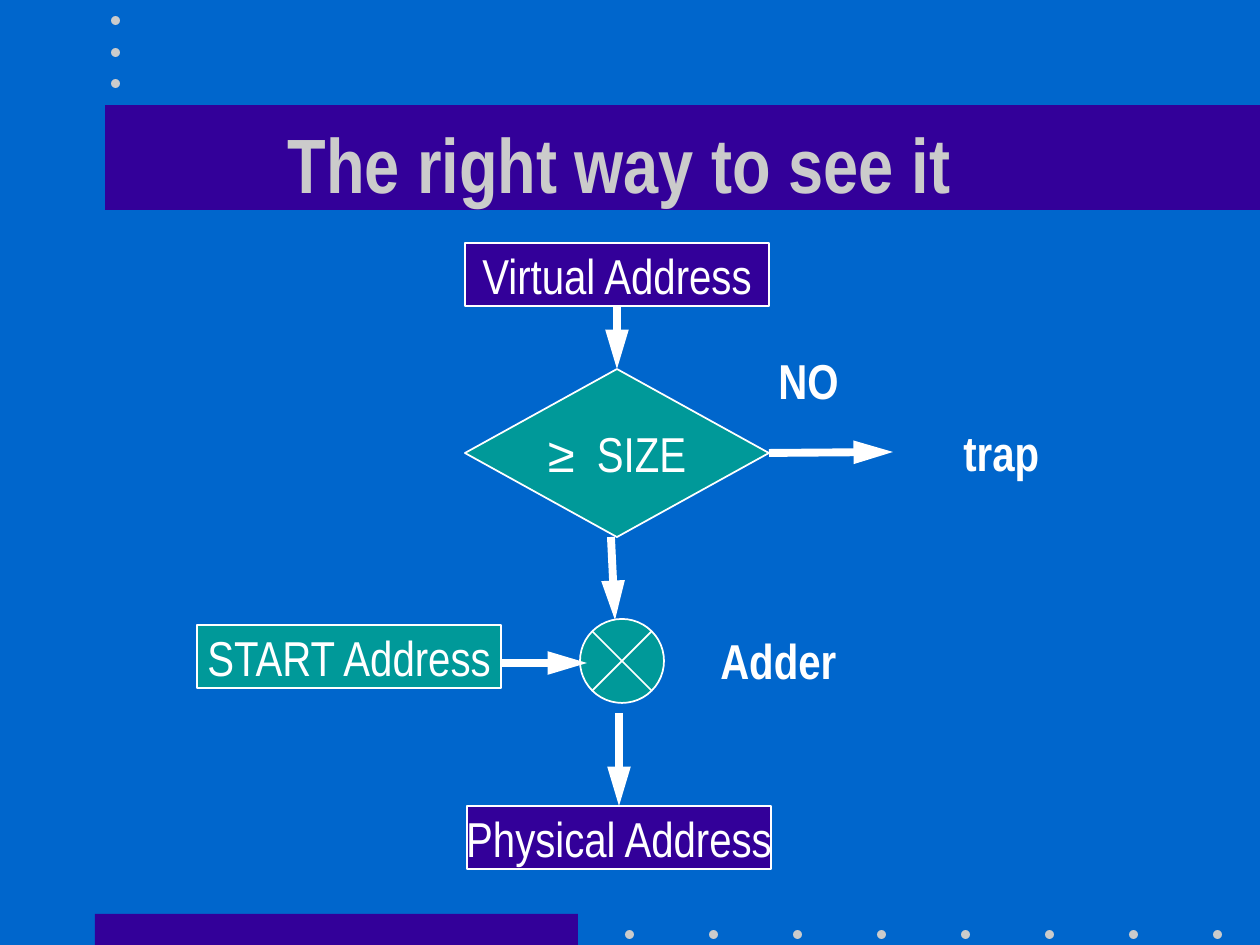
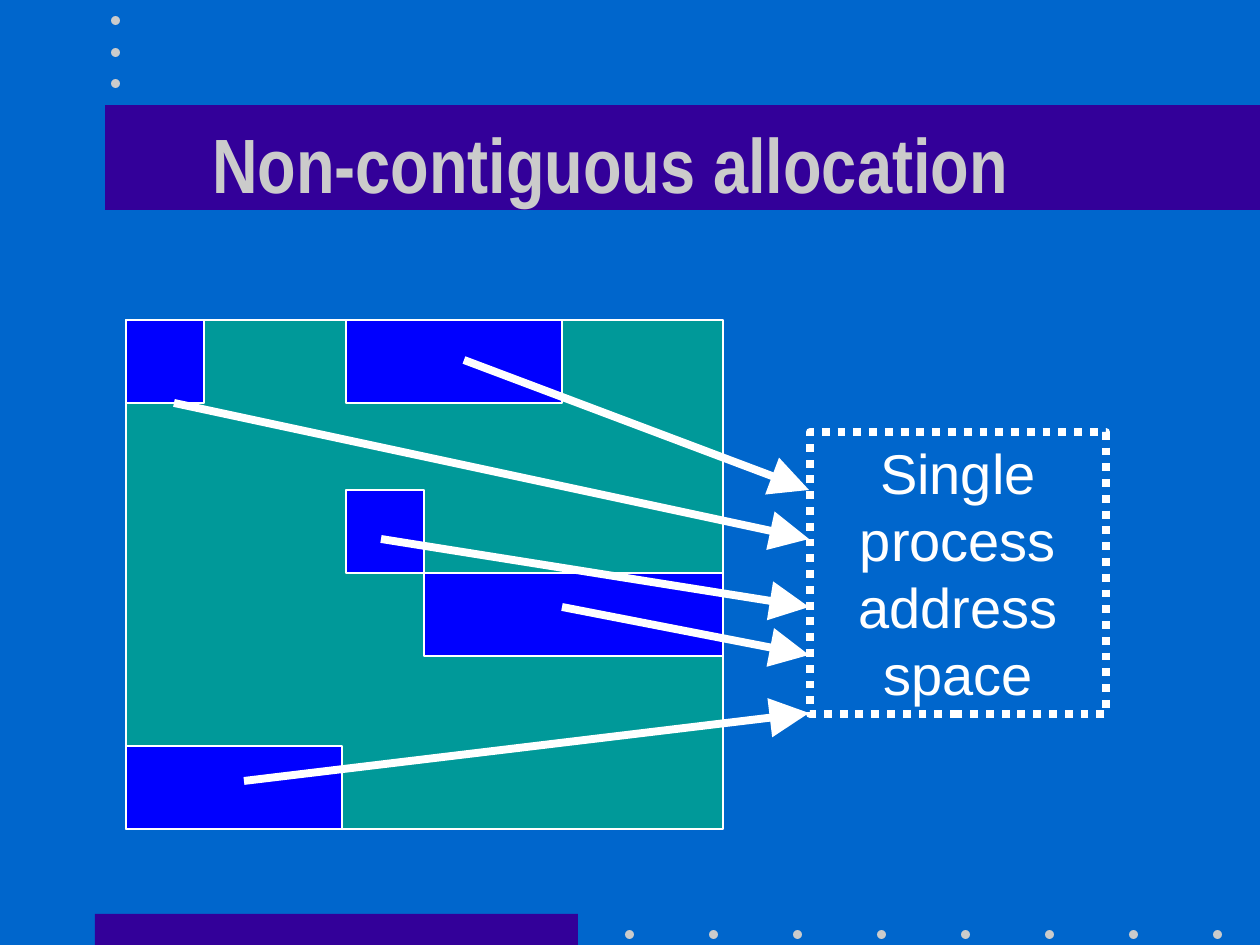
import pptx
import pptx.util
from lxml import etree
from pptx.dml.color import RGBColor
from pptx.enum.dml import MSO_LINE
from pptx.enum.shapes import MSO_CONNECTOR, MSO_SHAPE
from pptx.enum.text import MSO_ANCHOR, PP_ALIGN
from pptx.oxml.ns import qn

PX_PER_INCH = 126
BLUE = RGBColor(0x00, 0x66, 0xCC)
INDIGO = RGBColor(0x33, 0x00, 0x99)
TEAL = RGBColor(0x00, 0x99, 0x99)
VIVID = RGBColor(0x00, 0x00, 0xFF)
GREY = RGBColor(0xCB, 0xCB, 0xCB)
WHITE = RGBColor(0xFF, 0xFF, 0xFF)

TITLE = {"name": "Arial Narrow", "size": pptx.util.Pt(44), "bold": True}
BOX = {"name": "Arial Narrow", "size": pptx.util.Pt(28), "bold": False}
LABEL = {**BOX, "bold": True}
SYMBOL = {**BOX, "name": "Arial"}
SPACE = {"name": "Arial", "size": pptx.util.Pt(32), "bold": False}

# Shared decoration: left, top, width, height
BANDS = [(95, 914, 483, 31), (105, 105, 1155, 105)]
DOT = 9
DOTS = [(625 + 84 * i, 930) for i in range(8)] + [(111, y) for y in (16, 48, 79)]

# Address translation flow
STEPS = {
    "start": (MSO_SHAPE.FLOWCHART_PROCESS, (197, 625, 304, 63), TEAL, "START Address"),
    "virtual": (MSO_SHAPE.FLOWCHART_PROCESS, (465, 243, 304, 63), INDIGO, "Virtual Address"),
    "size": (MSO_SHAPE.FLOWCHART_DECISION, (465, 369, 304, 168), TEAL, "≥"),
    "adder": (MSO_SHAPE.FLOWCHART_SUMMING_JUNCTION, (580, 619, 84, 84), TEAL, ""),
    "physical": (MSO_SHAPE.FLOWCHART_PROCESS, (467, 806, 304, 63), INDIGO, "Physical Address"),
}
LABELS = [
    ("NO", (766, 344, 86, 72)),
    ("trap", (951, 416, 101, 72)),
    ("Adder", (708, 624, 141, 72)),
]
# An end is a point, or a step with its side (0 top, 2 bottom, 3 right)
FLOW = [
    (("virtual", 2), ("size", 0)),
    (("size", 3), (893, 452)),
    ((611, 537), (615, 620)),
    ((500, 663), (587, 663)),
    ((619, 713), ("physical", 0)),
]

# Memory map
MEMORY = (126, 320, 597, 509)
BLOCK_H = 83
BLOCKS = [(126, 320, 78), (346, 320, 216), (126, 746, 216), (346, 490, 78), (424, 573, 299)]
PROCESS = (810, 432, 296, 282)
PROCESS_TEXT = "Single\nprocess\naddress\vspace"
ARROW_END_X = 809
MAPPINGS = [  # start x, start y, end y
    (464, 360, 490),
    (174, 403, 539),
    (381, 539, 607),
    (562, 607, 655),
    (244, 781, 713),
]


def px(*lengths):
    return [pptx.util.Emu(round(n * 914400 / PX_PER_INCH)) for n in lengths]


def set_font(r, style, color=WHITE):
    for key, value in style.items():
        setattr(r.font, key, value)
    r.font.color.rgb = color


def write(sp, text, style, align=PP_ALIGN.CENTER, color=WHITE, **frame):
    tf = sp.text_frame
    tf.text = text
    for key, value in frame.items():
        setattr(tf, key, value)
    for p in tf.paragraphs:
        p.alignment = align
        for r in p.runs:
            set_font(r, style, color)


def add_box(s, kind, place, fill=None, line=None, width=1):
    sp = s.shapes.add_shape(kind, *px(*place))
    sp.shadow.inherit = False
    if fill is None:
        sp.fill.background()
    else:
        sp.fill.solid()
        sp.fill.fore_color.rgb = fill
    if line is None:
        sp.line.fill.background()
    else:
        sp.line.color.rgb = line
        sp.line.width = pptx.util.Pt(width)
    return sp


def add_arrow(s, start, end, head_width):
    cxn = s.shapes.add_connector(MSO_CONNECTOR.STRAIGHT, *px(*start, *end))
    cxn.line.color.rgb = WHITE
    cxn.line.width = pptx.util.Pt(4.5)
    etree.SubElement(cxn.line._get_or_add_ln(), qn("a:tailEnd"),
                     type="triangle", w=head_width, len="lg")
    etree.SubElement(cxn._element.spPr, qn("a:effectLst"))
    return cxn


def decorate_master(prs, s):
    """Draw bands and dots on slide s, then move them to the master."""
    master = prs.slide_master
    master.background.fill.solid()
    master.background.fill.fore_color.rgb = BLUE
    parts = [add_box(s, MSO_SHAPE.RECTANGLE, band, INDIGO) for band in BANDS]
    parts += [add_box(s, MSO_SHAPE.OVAL, (*dot, DOT, DOT), GREY) for dot in DOTS]
    for number, sp in enumerate(parts, 100):
        sp._element.nvSpPr.cNvPr.set("id", str(number))
        master.shapes._spTree.append(sp._element)


def add_slide(prs, title):
    s = prs.slides.add_slide(prs.slide_layouts[5])
    sp = s.shapes.title
    sp.left, sp.top, sp.width, sp.height = px(84, 84, 1071, 158)
    write(sp, title, TITLE, color=GREY, vertical_anchor=MSO_ANCHOR.MIDDLE)
    return s


def draw_translation(s):
    steps = {}
    for name, (kind, place, fill, text) in STEPS.items():
        steps[name] = sp = add_box(s, kind, place, fill, WHITE)
        write(sp, text, SYMBOL if name == "size" else BOX,
              word_wrap=False, vertical_anchor=MSO_ANCHOR.MIDDLE)
    r = steps["size"].text_frame.paragraphs[0].add_run()
    r.text = "  SIZE"
    set_font(r, BOX)

    for text, place in LABELS:
        write(s.shapes.add_textbox(*px(*place)), text, LABEL,
              PP_ALIGN.LEFT, word_wrap=False)

    for ends in FLOW:
        points = [(0, 0) if end[0] in steps else end for end in ends]
        cxn = add_arrow(s, *points, head_width="med")
        for end, connect in zip(ends, (cxn.begin_connect, cxn.end_connect)):
            if end[0] in steps:
                connect(steps[end[0]], end[1])


def draw_allocation(s):
    add_box(s, MSO_SHAPE.RECTANGLE, MEMORY, TEAL, WHITE)
    for block in BLOCKS:
        add_box(s, MSO_SHAPE.RECTANGLE, (*block, BLOCK_H), VIVID, WHITE)
    for x, y, end_y in MAPPINGS:
        add_arrow(s, (x, y), (ARROW_END_X, end_y), head_width="lg")
    sp = add_box(s, MSO_SHAPE.RECTANGLE, PROCESS, line=WHITE, width=4.5)
    sp.line.dash_style = MSO_LINE.ROUND_DOT
    write(sp, PROCESS_TEXT, SPACE, vertical_anchor=MSO_ANCHOR.TOP)


def main():
    prs = pptx.Presentation()
    prs.slide_width, prs.slide_height = px(1260, 945)
    s = add_slide(prs, "The right way to see it")
    decorate_master(prs, s)
    draw_translation(s)
    draw_allocation(add_slide(prs, "Non-contiguous allocation "))
    prs.save("out.pptx")


if __name__ == "__main__":
    main()
